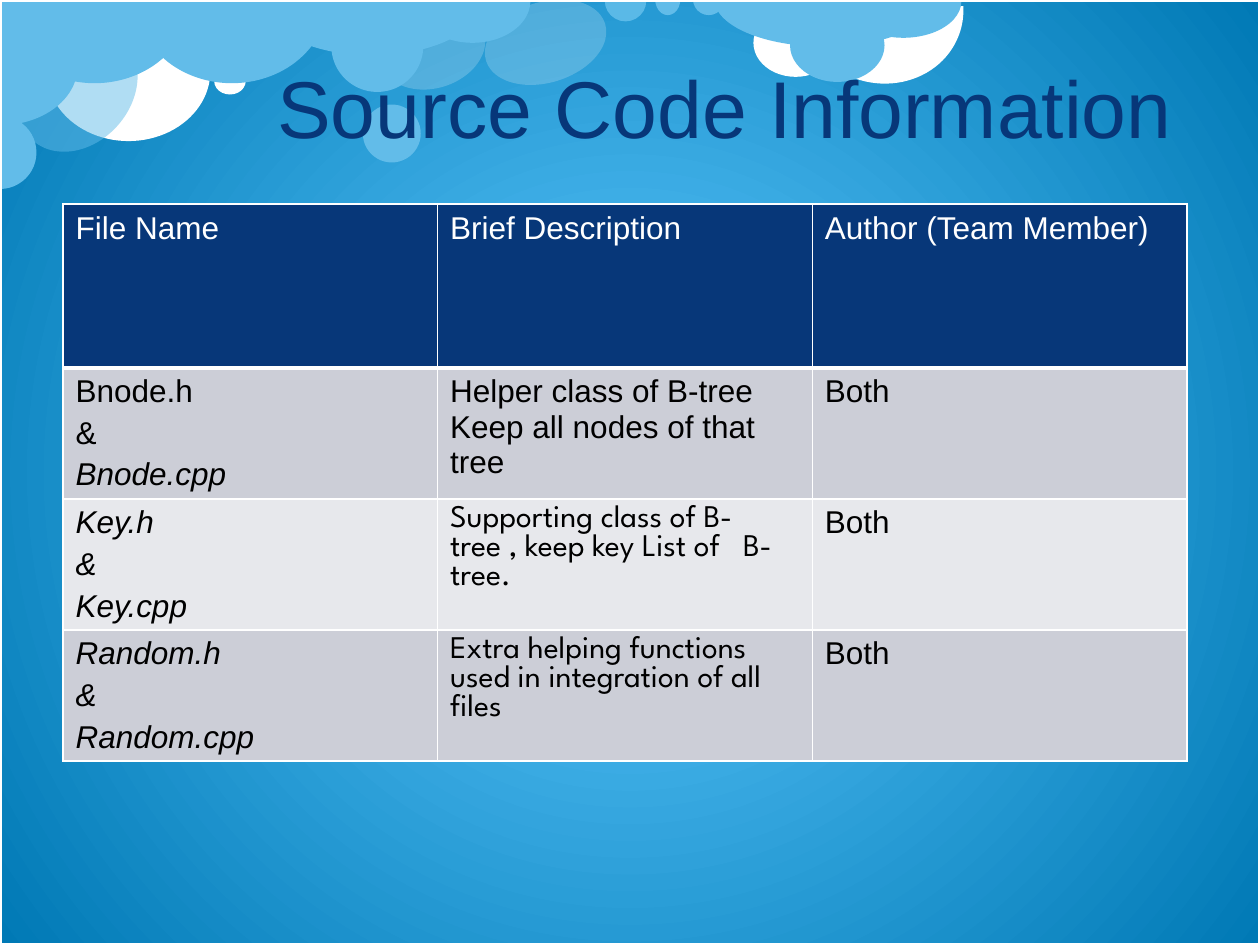
import lxml.etree
import pptx
import pptx.dml.color
import pptx.enum.dml
import pptx.enum.shapes
import pptx.enum.text
import pptx.oxml
import pptx.oxml.ns
import pptx.util

Inches = pptx.util.Inches
Pt = pptx.util.Pt
RGBColor = pptx.dml.color.RGBColor
Shape = pptx.enum.shapes.MSO_SHAPE
qn = pptx.oxml.ns.qn

WHITE = RGBColor(0xFF, 0xFF, 0xFF)
BLACK = RGBColor(0, 0, 0)
NAVY = RGBColor(0x07, 0x37, 0x79)
CLOUD_BLUE = RGBColor(0x62, 0xBC, 0xE9)
PALE_BLUE = RGBColor(0x8F, 0xD9, 0xFB)
SKY_CENTER = RGBColor(0x5D, 0xC9, 0xFF)
SKY_EDGE = RGBColor(0x00, 0x79, 0xB5)
BAND_DARK = RGBColor(0xCC, 0xCE, 0xD7)
BAND_LIGHT = RGBColor(0xE7, 0xE8, 0xEC)

BODY_FONT = "Arial"
ACCENT_FONT = "League Spartan"

HALF = (0, 108)  # lower half of a pie
WIDE_ARC = (151.8, 44.48)

# kind, left, top, width, height, rotation, colour, opacity in percent, adjustments
CLOUDS = [
    (Shape.OVAL, 3.11, -0.05, 0.64, 0.86, 72.8, WHITE, 20, ()),
    (Shape.OVAL, 0.37, 0.01, 1.3, 1.11, 0, WHITE, 100, ()),
    (Shape.ARC, 6.39, -0.6, 1.21, 1.31, 106.5, WHITE, 100, WIDE_ARC),
    (Shape.OVAL, 5.98, 0.07, 0.67, 0.54, 0, WHITE, 100, ()),
    (Shape.PIE, -0.01, -0.66, 1.52, 1.32, 0, CLOUD_BLUE, 100, HALF),
    (Shape.PIE, 2.08, -0.44, 1.75, 0.88, 0, CLOUD_BLUE, 100, HALF),
    (Shape.OVAL, 2.88, 0.83, 0.46, 0.46, 0, CLOUD_BLUE, 100, ()),
    (Shape.OVAL, 0.19, 0.18, 0.85, 1.07, 41.8, CLOUD_BLUE, 50, ()),
    (Shape.PIE, -0.29, 0.92, 0.58, 0.58, 270, CLOUD_BLUE, 100, HALF),
    (Shape.OVAL, 1.7, 0.54, 0.25, 0.21, 0, WHITE, 100, ()),
    (Shape.PIE, 1.08, -0.66, 1.52, 1.32, 0, CLOUD_BLUE, 100, HALF),
    (Shape.PIE, 5.67, -0.38, 1.75, 0.75, 0, CLOUD_BLUE, 100, HALF),
    (Shape.OVAL, 6.27, 0.07, 0.75, 0.58, 0, CLOUD_BLUE, 100, ()),
    (Shape.PIE, 6.71, -0.28, 0.92, 0.58, 0, CLOUD_BLUE, 100, HALF),
    (Shape.OVAL, 4.01, -0.16, 0.64, 0.99, 72.8, WHITE, 20, ()),
    (Shape.PIE, 4.8, -0.16, 0.33, 0.33, 0, PALE_BLUE, 50, HALF),
    (Shape.PIE, 5.2, -0.13, 0.2, 0.25, 0, CLOUD_BLUE, 100, HALF),
    (Shape.PIE, 5.5, -0.13, 0.25, 0.25, 0, CLOUD_BLUE, 100, HALF),
    (Shape.OVAL, 2.63, 0, 0.73, 0.73, 0, CLOUD_BLUE, 100, ()),
    (Shape.PIE, 3.29, -0.33, 0.92, 0.67, 0, CLOUD_BLUE, 100, HALF),
    (Shape.PIE, -0.47, -0.09, 0.93, 1.24, 270, CLOUD_BLUE, 100, HALF),
]

HEADINGS = ["File Name", "Brief Description", "Author (Team Member)"]
# file lines, whether the first file line is italic, description lines, description font
SOURCE_FILES = [
    (["Bnode.h", "&", "Bnode.cpp"], [False, False, True],
     ["Helper class of B-tree", "Keep all nodes of that tree"], BODY_FONT),
    (["Key.h", "&", "Key.cpp"], [True] * 3,
     ["Supporting class of B-tree , keep key List of   B-tree."], ACCENT_FONT),
    (["Random.h", "&", "Random.cpp"], [True] * 3,
     ["Extra helping functions used in integration of all files"], ACCENT_FONT),
]


def paint_sky(slide):
    """Fill the background with a gradient that spreads from the centre."""
    fill = slide.background.fill
    fill.gradient()
    for stop, color, position in zip(fill.gradient_stops, (SKY_CENTER, SKY_EDGE), (0, 1)):
        stop.color.rgb = color
        stop.position = position
    gradient = slide.background.element.find(".//" + qn("a:gradFill"))
    gradient.remove(gradient.find(qn("a:lin")))
    radial = lxml.etree.SubElement(gradient, qn("a:path"), path="circle")
    lxml.etree.SubElement(radial, qn("a:fillToRect"), l="50000", t="50000", r="50000", b="50000")


def add_clouds(slide, left, top):
    group = slide.shapes.add_group_shape()
    for kind, x, y, width, height, rotation, color, opacity, adjustments in CLOUDS:
        cloud = group.shapes.add_shape(kind, left + Inches(x), top + Inches(y),
                                       Inches(width), Inches(height))
        for index, value in enumerate(adjustments):
            cloud.adjustments[index] = value
        cloud.rotation = rotation
        cloud.shadow.inherit = False
        cloud.line.fill.background()
        cloud.fill.solid()
        cloud.fill.fore_color.rgb = color
        if opacity < 100:
            solid_color = cloud.element.spPr.find(qn("a:solidFill"))[0]
            lxml.etree.SubElement(solid_color, qn("a:alpha"), val=str(opacity * 1000))


def add_frame(slide, left, top, width, height):
    frame = slide.shapes.add_shape(Shape.RECTANGLE, left, top, width, height)
    frame.shadow.inherit = False
    frame.fill.background()
    frame.line.color.rgb = WHITE
    frame.line.width = Pt(2)


def add_run(paragraph, text, size, color, font=BODY_FONT, italic=False):
    run = paragraph.add_run()
    run.text = text
    run.font.size = Pt(size)
    run.font.name = font
    run.font.italic = italic
    run.font.color.rgb = color


def place_title(slide, left, top, width, height):
    title = slide.shapes.title
    title.left, title.top, title.width, title.height = left, top, width, height
    slide.shapes.element.append(title.element)  # bring in front of the clouds
    frame = title.text_frame
    frame.auto_size = pptx.enum.text.MSO_AUTO_SIZE.NONE
    frame.vertical_anchor = pptx.enum.text.MSO_ANCHOR.MIDDLE
    frame.margin_left = Inches(1.7)
    paragraph = frame.paragraphs[0]
    paragraph.alignment = pptx.enum.text.PP_ALIGN.LEFT
    paragraph.line_spacing = Pt(56)
    add_run(paragraph, "Source Code Information", 46, NAVY)


def set_borders(cell, top=1, bottom=1):
    """Draw white cell borders with the given widths in points."""
    properties = cell._tc.get_or_add_tcPr()
    for index, (side, width) in enumerate(zip("LRTB", (1, 1, top, bottom))):
        line = lxml.etree.Element(qn("a:ln" + side), w=str(Pt(width)))
        solid = lxml.etree.SubElement(line, qn("a:solidFill"))
        lxml.etree.SubElement(solid, qn("a:srgbClr"), val=str(WHITE))
        properties.insert(index, line)


def fill_cell(cell, lines, color, background, font=BODY_FONT, italics=None, gap=0):
    cell.fill.solid()
    cell.fill.fore_color.rgb = background
    frame = cell.text_frame
    for index, line in enumerate(lines):
        paragraph = frame.add_paragraph() if index else frame.paragraphs[0]
        if index and gap:
            paragraph.space_before = Pt(gap)
        add_run(paragraph, line, 18, color, font, bool(italics and italics[index]))


def add_file_table(slide, left, top, width, header_height, row_height):
    row_count = len(SOURCE_FILES) + 1
    height = header_height + row_height * len(SOURCE_FILES)
    table = slide.shapes.add_table(row_count, len(HEADINGS), left, top, width, height).table
    table.first_row = False
    table.horz_banding = False
    for index, row in enumerate(table.rows):
        row.height = row_height if index else header_height

    for column, heading in enumerate(HEADINGS):
        fill_cell(table.cell(0, column), [heading], WHITE, NAVY)
        set_borders(table.cell(0, column), bottom=3)

    for row, (files, italics, description, font) in enumerate(SOURCE_FILES, start=1):
        band = BAND_DARK if row % 2 else BAND_LIGHT
        fill_cell(table.cell(row, 0), files, BLACK, band, italics=italics, gap=3.6)
        fill_cell(table.cell(row, 1), description, BLACK, band, font)
        fill_cell(table.cell(row, 2), ["Both"], BLACK, band)
        for column in range(len(HEADINGS)):
            set_borders(table.cell(row, column), top=3 if row == 1 else 1)


def main():
    presentation = pptx.Presentation()
    presentation.slide_width = Inches(10)
    presentation.slide_height = Inches(7.5)
    slide = presentation.slides.add_slide(presentation.slide_layouts[5])
    paint_sky(slide)
    add_clouds(slide, Inches(0), Inches(0))
    add_frame(slide, Inches(0), Inches(0), presentation.slide_width, presentation.slide_height)
    place_title(slide, Inches(0.5), Inches(0.13), Inches(9.17), Inches(1.42))
    add_file_table(slide, Inches(0.5), Inches(1.62), Inches(8.92), Inches(1.3), Inches(1.04))
    presentation.save("out.pptx")


if __name__ == "__main__":
    main()
